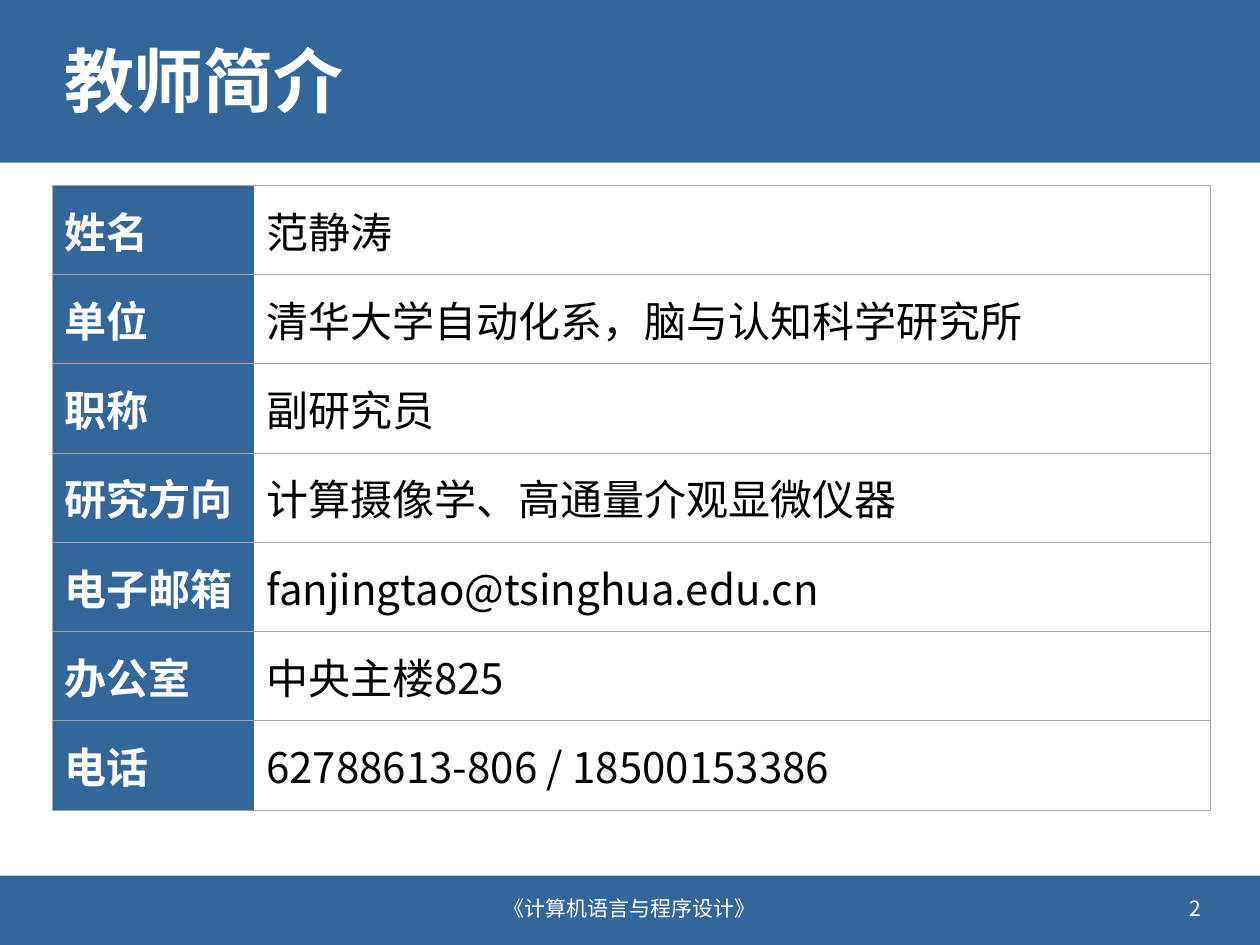
from lxml import etree
from pptx import Presentation
from pptx.dml.color import RGBColor
from pptx.enum.shapes import MSO_SHAPE
from pptx.enum.text import MSO_ANCHOR, PP_ALIGN
from pptx.oxml.ns import qn
from pptx.util import Pt

RECTANGLE = MSO_SHAPE.RECTANGLE
MIDDLE = MSO_ANCHOR.MIDDLE
LEFT, CENTER, RIGHT = PP_ALIGN.LEFT, PP_ALIGN.CENTER, PP_ALIGN.RIGHT

FONT = "Noto Sans CJK SC"
BLUE, WHITE, BLACK, GRAY = "336699", "FFFFFF", "000000", "A5A5A5"
SLIDE_WIDTH, SLIDE_HEIGHT = 720, 540
LABEL_WIDTH = 115.2
BORDER_WIDTH = 0.5

PROFILE = [
    ("姓名", "范静涛"),
    ("单位", "清华大学自动化系，脑与认知科学研究所"),
    ("职称", "副研究员"),
    ("研究方向", "计算摄像学、高通量介观显微仪器"),
    ("电子邮箱", "fanjingtao@tsinghua.edu.cn"),
    ("办公室", "中央主楼825"),
    ("电话", "62788613-806 / 18500153386"),
]


def paint(fill, color):
    """Give a fill one solid colour."""
    fill.solid()
    fill.fore_color.rgb = RGBColor.from_string(color)


def write(frame, text, size, color, bold=False, align=LEFT):
    """Write one formatted paragraph into a text frame."""
    paragraph = frame.paragraphs[0]
    paragraph.alignment = align
    run = paragraph.add_run()
    run.text = text
    for name, value in {"name": FONT, "size": Pt(size), "bold": bold}.items():
        setattr(run.font, name, value)
    paint(run.font.fill, color)
    east_asian = etree.SubElement(run.font._element, qn("a:ea"))
    east_asian.set("typeface", FONT)
    return paragraph


def add_band(slide, left, top, width, height):
    """Draw a plain blue band."""
    band = slide.shapes.add_shape(RECTANGLE, Pt(left), Pt(top), Pt(width), Pt(height))
    band.shadow.inherit = False
    band.line.fill.background()
    paint(band.fill, BLUE)


def add_text(slide, box, text, size, **style):
    """Place a vertically centred line of white text in a box."""
    frame = slide.shapes.add_textbox(*map(Pt, box)).text_frame
    frame.word_wrap = True
    frame.vertical_anchor = MIDDLE
    return write(frame, text, size, WHITE, **style)


def set_borders(cell, visible):
    """Draw the named sides of a cell in grey and clear the others."""
    properties = cell._tc.get_or_add_tcPr()
    for side in "LRTB":
        line = etree.SubElement(properties, qn(f"a:ln{side}"), w=str(Pt(BORDER_WIDTH)))
        if side in visible:
            solid = etree.SubElement(line, qn("a:solidFill"))
            etree.SubElement(solid, qn("a:srgbClr"), val=GRAY)
        else:
            etree.SubElement(line, qn("a:noFill"))


def add_header(slide, left, top, width, height):
    """Draw the title band with its title."""
    add_band(slide, left, top, width, height)
    title_box = (left + 29.5, top + 13, width - 58.3, height - 21.6)
    add_text(slide, title_box, "教师简介", 40, bold=True).line_spacing = 0.9


def add_profile(slide, left, top, width, height):
    """Build the table of labels and details."""
    frame = slide.shapes.add_table(
        len(PROFILE), 2, Pt(left), Pt(top), Pt(width), Pt(height))
    table = frame.table
    table.first_row = table.horz_banding = False
    columns = [
        (LABEL_WIDTH, "LTB", BLUE, WHITE, True),
        (width - LABEL_WIDTH, "RTB", WHITE, BLACK, False),
    ]
    for column, (column_width, *_) in zip(table.columns, columns):
        column.width = Pt(column_width)
    for row, entry in zip(table.rows, PROFILE):
        row.height = Pt(height / len(PROFILE))
        for cell, text, (_, sides, fill, color, bold) in zip(row.cells, entry, columns):
            set_borders(cell, sides)
            paint(cell.fill, fill)
            cell.vertical_anchor = MIDDLE
            write(cell.text_frame, text, 24, color, bold)


def add_footer(slide, left, top, width, height):
    """Draw the footer band with the course name and page number."""
    add_band(slide, left, top, width, height)
    text_top, text_height = top + 4.3, 28.8
    course_width, page_width = 259.2, 172.8
    course_left = left + (width - course_width) / 2
    page_left = left + width - page_width - 26.6
    add_text(slide, (course_left, text_top, course_width, text_height),
             "《计算机语言与程序设计》", 12, align=CENTER)
    add_text(slide, (page_left, text_top, page_width, text_height),
             "2", 12, align=RIGHT)


def main():
    """Build and save the slide."""
    presentation = Presentation()
    presentation.slide_width = Pt(SLIDE_WIDTH)
    presentation.slide_height = Pt(SLIDE_HEIGHT)
    slide = presentation.slides.add_slide(presentation.slide_layouts[6])
    paint(slide.background.fill, WHITE)
    add_header(slide, 0, 0, SLIDE_WIDTH, 92.9)
    add_footer(slide, 0, 500.4, SLIDE_WIDTH, 39.6)
    add_profile(slide, 29.8, 105.9, 661.7, 357.1)
    presentation.save("out.pptx")


if __name__ == "__main__":
    main()
